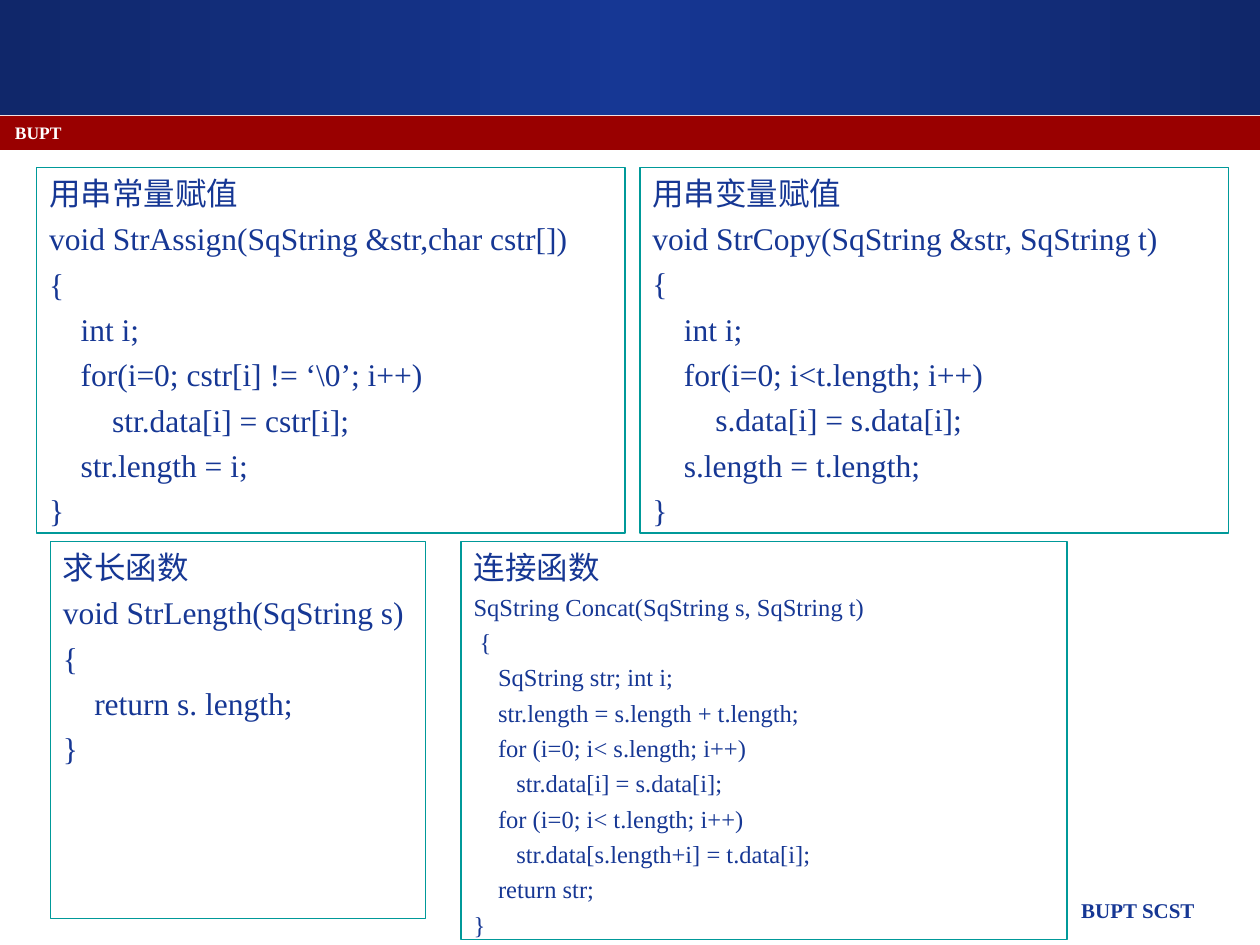
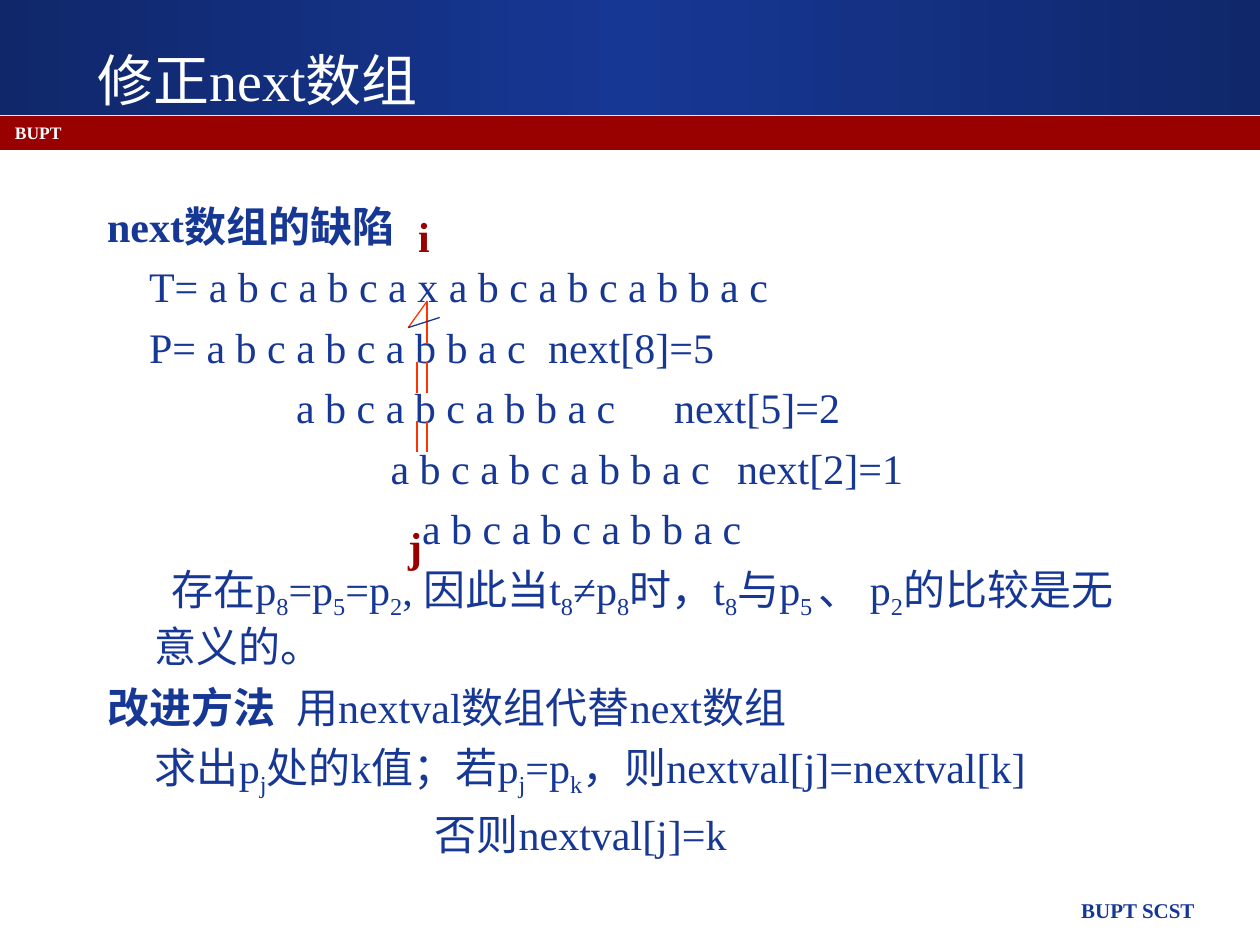
from copy import deepcopy
from dataclasses import dataclass

from lxml import etree
from pptx import Presentation
from pptx import util as u
from pptx.dml.color import RGBColor
from pptx.enum import shapes, text
from pptx.oxml.ns import qn

# Shared style
NAVY = RGBColor(0x10, 0x27, 0x6A)
BLUE = RGBColor(0x16, 0x37, 0x94)
RED = RGBColor(0x99, 0x00, 0x00)
ORANGE = RGBColor(0xFF, 0x33, 0x00)
TEAL = RGBColor(0x00, 0x99, 0x99)
WHITE = RGBColor(0xFF, 0xFF, 0xFF)
FONT = "Times New Roman"
SPACING = 0.24  # space before a paragraph, as a share of its text size

# Square grid: 100 columns by 75 rows
COLUMNS, ROWS = 100, 75
CELL = u.Inches(0.1)


def cells(count: float) -> u.Length:
    return u.Emu(round(count * CELL))


@dataclass(frozen=True)
class Box:
    left: float
    top: float
    width: float
    height: float

    def lengths(self) -> list:
        return [cells(n) for n in (self.left, self.top, self.width, self.height)]


@dataclass(frozen=True)
class CodeCard:
    box: Box
    heading: str
    code: str
    size: int = 18


@dataclass(frozen=True)
class Line:
    """Text with subscripts between bars; head is bold, lengths in cells."""
    text: str
    first: float = 0
    left: float = 0
    tab: float = 0
    head: str = ""


@dataclass(frozen=True)
class Stroke:
    x1: float
    y1: float
    x2: float
    y2: float
    color: RGBColor = ORANGE


@dataclass(frozen=True)
class Label:
    box: Box
    text: str
    size: int
    color: RGBColor
    align: text.PP_ALIGN = text.PP_ALIGN.LEFT


def style(font, size: float, color: RGBColor, bold: bool = False) -> None:
    font.name, font.size, font.bold = FONT, u.Pt(size), bold
    font.color.rgb = color


def place(shape, box: Box) -> None:
    shape.left, shape.top, shape.width, shape.height = box.lengths()


def set_paragraph(paragraph, left: float, first: float, tab: float, before: float) -> None:
    p_pr = paragraph._p.get_or_add_pPr()
    p_pr.set("marL", str(cells(left)))
    p_pr.set("indent", str(cells(first)))
    etree.SubElement(p_pr, qn("a:buNone"))
    if tab:
        tabs = etree.SubElement(p_pr, qn("a:tabLst"))
        etree.SubElement(tabs, qn("a:tab"), pos=str(cells(tab)), algn="l")
    paragraph.alignment = text.PP_ALIGN.LEFT
    paragraph.space_before = u.Pt(before)


def set_frame(frame, anchor=text.MSO_ANCHOR.TOP) -> None:
    frame.word_wrap = True
    frame.auto_size = text.MSO_AUTO_SIZE.NONE
    frame.vertical_anchor = anchor


def add_label(slide, label: Label):
    shape = slide.shapes.add_textbox(*label.box.lengths())
    set_frame(shape.text_frame)
    shape.text_frame.text = label.text
    paragraph = shape.text_frame.paragraphs[0]
    paragraph.alignment = label.align
    style(paragraph.runs[0].font, label.size, label.color, True)
    return shape


def add_band(slide, box: Box):
    band = slide.shapes.add_shape(shapes.MSO_SHAPE.RECTANGLE, *box.lengths())
    band.shadow.inherit = False
    band.line.fill.background()
    return band


def build_master(prs, slide) -> None:
    """Draw the bands and footers, then move them to the slide master."""
    header = add_band(slide, Box(0, 0, COLUMNS, 9.1))
    header.fill.gradient()
    header.fill.gradient_angle = 0
    for stop in header.fill.gradient_stops:
        stop.color.rgb = NAVY
    middle = deepcopy(header._element.spPr.find(".//" + qn("a:gs")))
    header._element.spPr.find(".//" + qn("a:gs")).addnext(middle)
    middle_stop = header.fill.gradient_stops[1]
    middle_stop.position, middle_stop.color.rgb = 0.5, BLUE

    stripe = add_band(slide, Box(0, 9.2, COLUMNS, 2.7))
    stripe.fill.solid()
    stripe.fill.fore_color.rgb = RED

    school = add_label(slide, Label(Box(0.2, 9.2, 92.5, 2.5), "BUPT", 10, WHITE))
    footer = add_label(slide, Label(Box(42.1, 70.7, 53.7, 3.5), "BUPT SCST", 12, BLUE,
                                    text.PP_ALIGN.RIGHT))
    tree = prs.slide_master.shapes._spTree
    for i, part in enumerate((header, stripe, school, footer)):
        part._element.nvSpPr.cNvPr.set("id", str(100 + i))
        tree.insert(2 + i, part._element)


def fill_card(shape, card: CodeCard) -> None:
    shape.fill.background()
    shape.line.color.rgb = TEAL
    shape.line.width = u.Pt(0.75)
    frame = shape.text_frame
    set_frame(frame)
    frame.text = card.heading + "\n" + card.code
    for i, paragraph in enumerate(frame.paragraphs):
        size = card.size if i else 18
        set_paragraph(paragraph, 0, 0, 0, SPACING * size if i else 0)
        style(paragraph.runs[0].font, size, BLUE)


def add_line(paragraph, line: Line, is_first: bool, size: int = 24) -> None:
    set_paragraph(paragraph, line.left, line.first, line.tab, 0 if is_first else SPACING * size)
    if line.head:
        head = paragraph.add_run()
        head.text = line.head
        style(head.font, size, BLUE, True)
    for i, piece in enumerate(line.text.split("|")):
        if piece:
            run = paragraph.add_run()
            run.text = piece
            style(run.font, size, BLUE)
            if i % 2:
                run._r.get_or_add_rPr().set("baseline", "-25000")


def add_stroke(slide, stroke: Stroke) -> None:
    line = slide.shapes.add_connector(
        shapes.MSO_CONNECTOR.STRAIGHT,
        *(cells(n) for n in (stroke.x1, stroke.y1, stroke.x2, stroke.y2)))
    line.line.color.rgb = stroke.color
    line.line.width = u.Pt(0.75)
    etree.SubElement(line._element.spPr, qn("a:effectLst"))


# Slide 1: string functions
CARDS = [
    CodeCard(Box(2.9, 13.3, 46.7, 29), "用串常量赋值", r"""void StrAssign(SqString &str,char cstr[])
{
    int i;
    for(i=0; cstr[i] != ‘\0’; i++)
        str.data[i] = cstr[i];
    str.length = i;
}"""),
    CodeCard(Box(50.8, 13.3, 46.7, 29), "用串变量赋值", """void StrCopy(SqString &str, SqString t)
{
    int i;
    for(i=0; i<t.length; i++)
        s.data[i] = s.data[i];
    s.length = t.length;
}"""),
    CodeCard(Box(4, 43, 29.8, 29.9), "求长函数", """void StrLength(SqString s)
{
    return s. length;
}"""),
    CodeCard(Box(36.6, 43, 48.1, 31.6), "连接函数", """SqString Concat(SqString s, SqString t)
 {
    SqString str; int i;
    str.length = s.length + t.length;
    for (i=0; i< s.length; i++)
       str.data[i] = s.data[i];
    for (i=0; i< t.length; i++)
       str.data[s.length+i] = t.data[i];
    return str;
}""", 14),
]

# Slide 2: the flaw of the next array and its repair
PATTERN = "a b c a b c a b b a c"
NEXT_TAB = 54.5
LINES = [
    Line("", head="next数组的缺陷"),
    Line("T= a b c a b c a x a b c a b c a b b a c", first=3.33),
    Line(f"P= {PATTERN}\tnext[8]=5", first=3.33, tab=NEXT_TAB),
    Line(f"{PATTERN}\tnext[5]=2", first=15, tab=NEXT_TAB),
    Line(f"{PATTERN}\tnext[2]=1", first=22.5, tab=NEXT_TAB),
    Line(PATTERN, first=25),
    Line("存在p|8|=p|5|=p|2|, 因此当t|8|≠p|8|时，t|8|与p|5 |、 p|2|的比较是无意义的。",
         first=1.3, left=3.8),
    Line("用nextval数组代替next数组", tab=16.3, head="改进方法\t"),
    Line("求出p|j|处的k值；若p|j|=p|k|，则nextval[j]=nextval[k]", first=3.8),
    Line("否则nextval[j]=k", first=26),
]
EQUAL_SIGNS = [Stroke(x, y, x, y + 2.5) for y in (28.7, 33.4) for x in (33.9, 33.1)]
UNEQUAL_SIGN = [
    Stroke(33.9, 23.9, 32.4, 26),
    Stroke(33.9, 23.9, 33.9, 27.3),
    Stroke(32.4, 26, 34.9, 25.2, BLUE),
]
POINTERS = [
    Label(Box(32.2, 16.2, 3.3, 5), "i", 24, RED),
    Label(Box(31.4, 40.8, 5, 5), "j", 24, RED),
]


def build_functions(slide) -> None:
    title, body = slide.placeholders
    title._element.getparent().remove(title._element)
    place(body, CARDS[0].box)
    fill_card(body, CARDS[0])
    for card in CARDS[1:]:
        shape = slide.shapes.add_shape(shapes.MSO_SHAPE.RECTANGLE, *card.box.lengths())
        shape.shadow.inherit = False
        fill_card(shape, card)


def build_next_array(slide) -> None:
    title, body = slide.placeholders
    place(title, Box(6.7, 2.5, 85, 7.5))
    set_frame(title.text_frame, text.MSO_ANCHOR.MIDDLE)
    title.text_frame.text = "修正next数组"
    heading = title.text_frame.paragraphs[0]
    heading.alignment = text.PP_ALIGN.LEFT
    style(heading.runs[0].font, 32, WHITE)

    place(body, Box(7.5, 15.4, 85, 57.5))
    frame = body.text_frame
    set_frame(frame)
    for i, line in enumerate(LINES):
        add_line(frame.add_paragraph() if i else frame.paragraphs[0], line, i == 0)

    for stroke in EQUAL_SIGNS + UNEQUAL_SIGN:
        add_stroke(slide, stroke)
    for pointer in POINTERS:
        add_label(slide, pointer)


def main() -> None:
    prs = Presentation()
    prs.slide_width, prs.slide_height = cells(COLUMNS), cells(ROWS)
    layout = prs.slide_layouts[1]
    functions, next_array = (prs.slides.add_slide(layout) for _ in range(2))
    build_master(prs, functions)
    build_functions(functions)
    build_next_array(next_array)
    prs.save("out.pptx")


if __name__ == "__main__":
    main()
